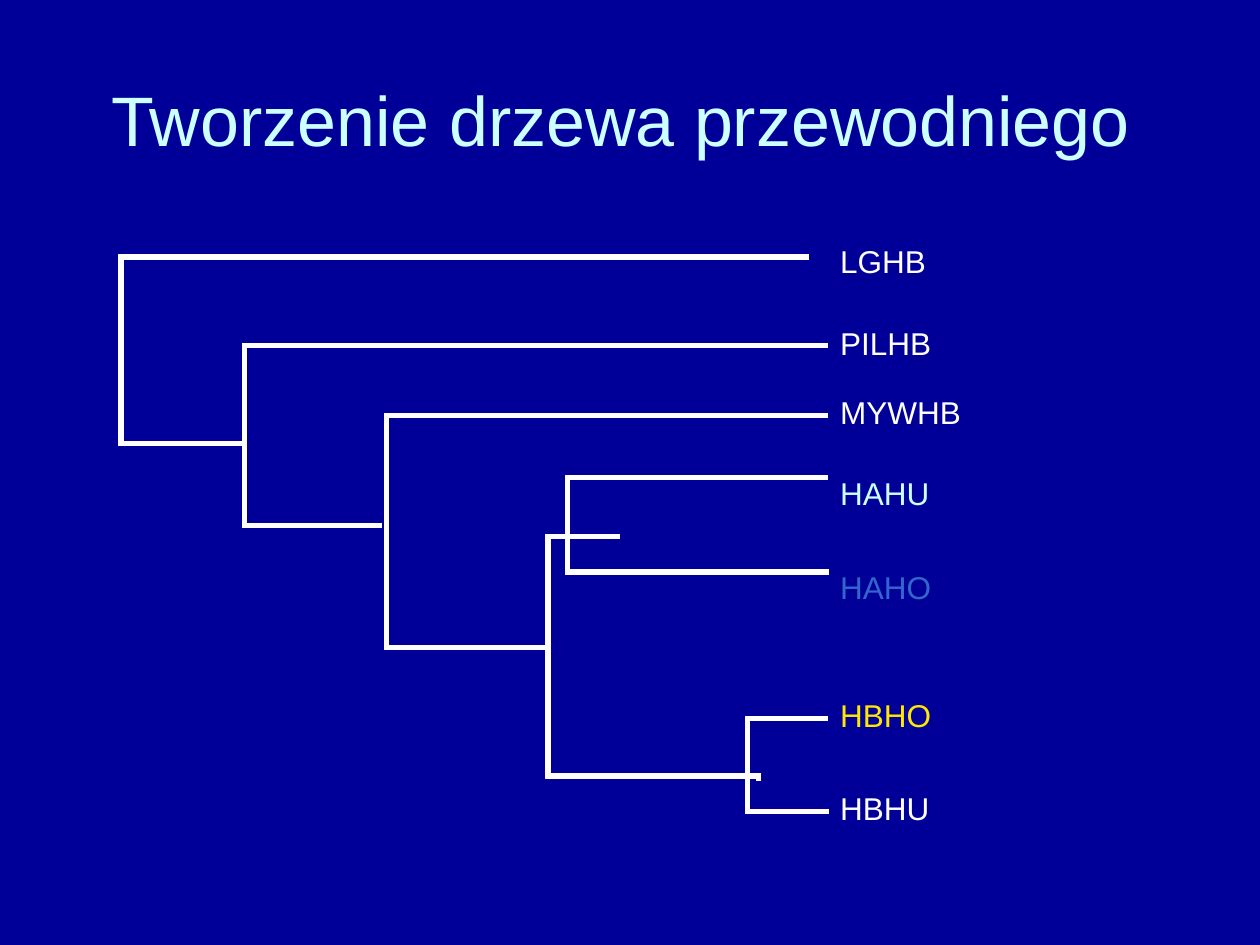
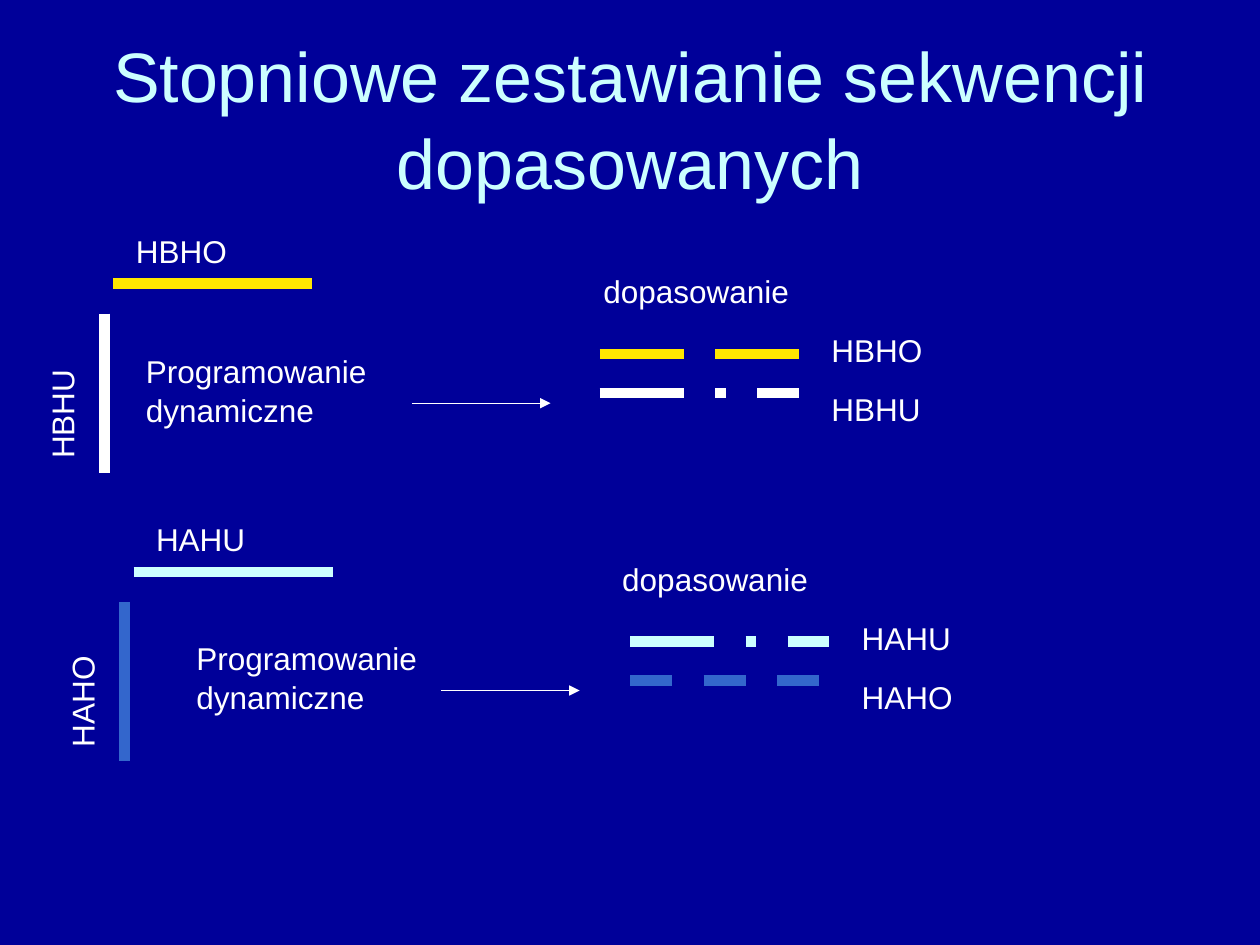
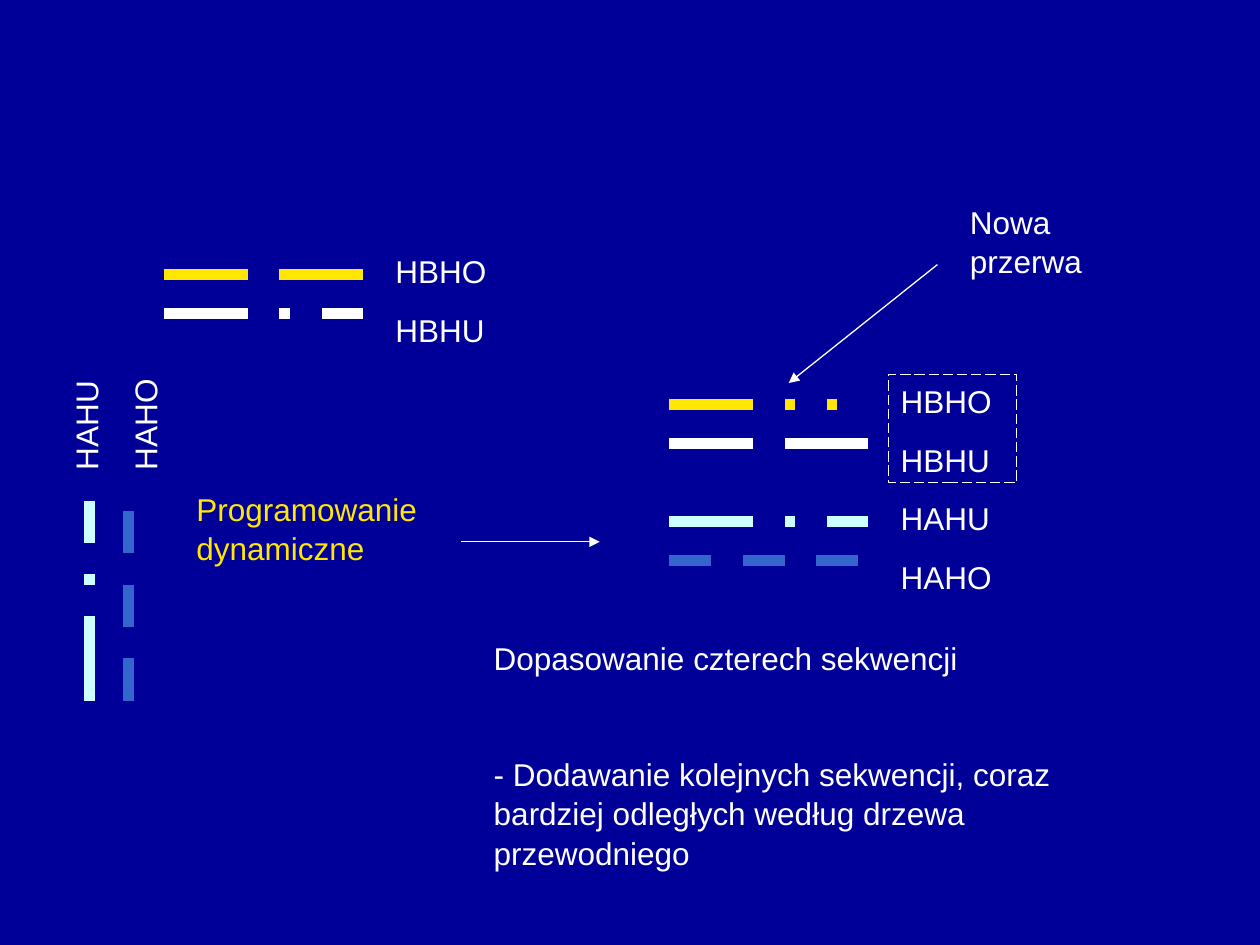
from dataclasses import dataclass

import pptx
import pptx.dml.color
import pptx.enum.dml
import pptx.enum.shapes
import pptx.enum.text
import pptx.oxml
import pptx.oxml.ns
import pptx.util

COLUMN = pptx.util.Inches(1)
ROW = pptx.util.Inches(1)
COLUMNS, ROWS = 10, 7.5
TITLE_ONLY, BLANK = 5, 6

DASH = pptx.enum.dml.MSO_LINE.DASH
LONG_DASH = pptx.enum.dml.MSO_LINE.LONG_DASH
LONG_DASH_DOT = pptx.enum.dml.MSO_LINE.LONG_DASH_DOT
DASH_DOT_DOT = pptx.enum.dml.MSO_LINE.DASH_DOT_DOT
ANCHOR = pptx.enum.text.MSO_ANCHOR
ALIGN = pptx.enum.text.PP_ALIGN
FIT = pptx.enum.text.MSO_AUTO_SIZE
CONNECTOR = pptx.enum.shapes.MSO_CONNECTOR


@dataclass(frozen=True)
class Theme:
    background: str = "000099"
    white: str = "FFFFFF"
    pale: str = "CCFFFF"
    blue: str = "3366CC"
    yellow: str = "FFE701"
    font: str = "Arial"
    title_size: float = 40
    text_size: float = 18
    space_before: float = 11.2
    leading: float = 1.04
    arrow_width: float = 0.75
    branch_width: float = 3
    sequence_width: float = 6


THEME = Theme()
SEQUENCE_LENGTH = 1.58
SEQUENCE_GAP = 0.31
DYNAMIC = "Programowanie dynamiczne"


def rgb(colour):
    return pptx.dml.color.RGBColor.from_string(colour)


def cols(count):
    return round(count * COLUMN)


def rows(count):
    return round(count * ROW)


def add_xml(parent, tag, **attributes):
    element = pptx.oxml.parse_xml(f"<a:{tag} {pptx.oxml.ns.nsdecls('a')}/>")
    for key, value in attributes.items():
        element.set(key, str(value))
    parent.append(element)


def write(frame, *paragraphs, colour=THEME.white, size=THEME.text_size,
          align=ALIGN.LEFT, anchor=ANCHOR.TOP, fit=FIT.SHAPE_TO_FIT_TEXT,
          before=THEME.space_before, extra_before=0):
    """Fill a text frame; extra_before widens the gaps between paragraphs."""
    frame.word_wrap = True
    frame.auto_size = fit
    frame.vertical_anchor = anchor
    for index, words in enumerate(paragraphs):
        paragraph = frame.add_paragraph() if index else frame.paragraphs[0]
        paragraph.alignment = align
        paragraph.line_spacing = THEME.leading
        paragraph.space_before = pptx.util.Pt(before + (extra_before if index else 0))
        run = paragraph.add_run()
        run.text = words
        run.font.name = THEME.font
        run.font.size = pptx.util.Pt(size)
        run.font.color.rgb = rgb(colour)


def label(slide, left, top, width, height, *paragraphs, rotation=0, **style):
    box = slide.shapes.add_textbox(cols(left), rows(top), cols(width), rows(height))
    box.rotation = rotation
    write(box.text_frame, *paragraphs, **style)


def title(slide, words):
    heading = slide.shapes.title
    heading.left, heading.top = cols(0.5), rows(0.3)
    heading.width, heading.height = cols(9), rows(1.25)
    write(heading.text_frame, words, colour=THEME.pale, size=THEME.title_size,
          align=ALIGN.CENTER, anchor=ANCHOR.MIDDLE, fit=FIT.NONE, before=0)


def connector(slide, start, end, colour, width, dash=None, kind=CONNECTOR.STRAIGHT):
    line = slide.shapes.add_connector(kind, cols(start[0]), rows(start[1]),
                                      cols(end[0]), rows(end[1]))
    line.line.color.rgb = rgb(colour)
    line.line.width = pptx.util.Pt(width)
    if dash:
        line.line.dash_style = dash
    add_xml(line._element.spPr, "effectLst")
    return line


def arrow(slide, start, end):
    shaft = connector(slide, start, end, THEME.white, THEME.arrow_width)
    add_xml(shaft.line._get_or_add_ln(), "tailEnd", type="triangle")


def sequence(slide, start, end, colour, dash=None):
    connector(slide, start, end, colour, THEME.sequence_width, dash)


def branch(slide, start, end, spine, lower_run=None):
    """Elbow from start along the column spine to end; lower_run is the row
    where it turns when that is not the row of end."""
    fork = connector(slide, start, end, THEME.white, THEME.branch_width,
                     kind=CONNECTOR.ELBOW)
    add_xml(fork.line._get_or_add_ln(), "miter", lim=800000)
    turns = [(spine - start[0]) / (end[0] - start[0])]
    geometry = fork._element.spPr.prstGeom
    if lower_run is not None:
        geometry.set("prst", "bentConnector4")
        turns.append((lower_run - start[1]) / (end[1] - start[1]))
    guides = geometry.get_or_add_avLst()
    for number, share in enumerate(turns, 1):
        add_xml(guides, "gd", name=f"adj{number}", fmla=f"val {round(share * 100000)}")


def alignment(slide, left, top, *sequences, framed=False):
    """Two aligned sequences (name, colour, dash) with their names at the right."""
    for index, (_, colour, dash) in enumerate(sequences):
        y = top + index * SEQUENCE_GAP
        sequence(slide, (left, y), (left + SEQUENCE_LENGTH, y), colour, dash)
    place = (left + 1.74, top - 0.24, 1.02, 0.86)
    names = [name for name, _, _ in sequences]
    if not framed:
        label(slide, *place, *names)
        return
    x, y, width, height = place
    frame = slide.shapes.add_shape(pptx.enum.shapes.MSO_SHAPE.RECTANGLE,
                                   cols(x), rows(y), cols(width), rows(height))
    frame.shadow.inherit = False
    frame.fill.background()
    frame.line.color.rgb = rgb(THEME.white)
    frame.line.width = pptx.util.Pt(THEME.arrow_width)
    frame.line.dash_style = LONG_DASH
    write(frame.text_frame, *names)


def dynamic_step(slide, left, top, arrow_left, colour=THEME.white):
    label(slide, left, top, 3.15, 0.7, DYNAMIC, colour=colour)
    arrow(slide, (arrow_left, top + 0.47), (arrow_left + 1.1, top + 0.47))


def sequence_pair(slide, left, top, across, down):
    """One sequence laid across and one down, each a (name, colour)."""
    sequence(slide, (left, top), (left + SEQUENCE_LENGTH, top), across[1])
    sequence(slide, (left - 0.07, top + 0.24), (left - 0.07, top + 1.5), down[1])
    label(slide, left + 0.08, top - 0.47, 1.26, 0.4, across[0])
    label(slide, left - 1.05, top + 0.66, 1.26, 0.4, down[0], rotation=270)


def guide_tree(slide):
    title(slide, "Tworzenie drzewa przewodniego ")
    leaves = [("LGHB", 1.86, THEME.white), ("PILHB", 2.51, THEME.white),
              ("MYWHB", 3.06, THEME.white), ("HAHU", 3.7, THEME.pale),
              ("HAHO", 4.45, THEME.blue), ("HBHO", 5.46, THEME.yellow),
              ("HBHU", 6.2, THEME.white)]
    for name, top, colour in leaves:
        label(slide, 6.57, top, 1.26, 0.4, name, colour=colour)
    branch(slide, (6.57, 5.7), (6.58, 6.44), 5.92)
    branch(slide, (6.57, 3.79), (6.58, 4.54), 4.47)
    branch(slide, (4.92, 4.26), (6.02, 6.2), 4.35, lower_run=6.16)
    branch(slide, (6.57, 3.3), (4.37, 5.14), 3.07)
    branch(slide, (6.57, 2.74), (3.03, 4.17), 1.94)
    branch(slide, (6.42, 2.04), (1.93, 3.52), 0.96)


def pairwise_alignments(slide):
    title(slide, "Stopniowe zestawianie sekwencji dopasowanych")

    sequence_pair(slide, 0.9, 2.25, ("HBHO", THEME.yellow), ("HBHU", THEME.white))
    dynamic_step(slide, 1.06, 2.73, 3.27)
    label(slide, 4.69, 2.1, 1.97, 0.4, "dopasowanie")
    alignment(slide, 4.76, 2.81, ("HBHO", THEME.yellow, LONG_DASH),
              ("HBHU", THEME.white, LONG_DASH_DOT))

    sequence_pair(slide, 1.06, 4.54, ("HAHU", THEME.pale), ("HAHO", THEME.blue))
    dynamic_step(slide, 1.46, 5.01, 3.5)
    label(slide, 4.84, 4.38, 1.97, 0.4, "dopasowanie")
    alignment(slide, 5, 5.09, ("HAHU", THEME.pale, LONG_DASH_DOT),
              ("HAHO", THEME.blue, DASH))


def four_sequences(slide):
    alignment(slide, 1.3, 2.18, ("HBHO", THEME.yellow, LONG_DASH),
              ("HBHU", THEME.white, LONG_DASH_DOT))
    for x, colour, dash in [(0.71, THEME.pale, LONG_DASH_DOT), (1.02, THEME.blue, DASH)]:
        sequence(slide, (x, 5.56), (x, 5.56 - SEQUENCE_LENGTH), colour, dash)
    label(slide, 0.39, 2.89, 1.02, 0.86, "HAHU", "HAHO", rotation=270)
    dynamic_step(slide, 1.46, 3.83, 3.66, colour=THEME.yellow)

    alignment(slide, 5.31, 3.21, ("HBHO", THEME.yellow, DASH_DOT_DOT),
              ("HBHU", THEME.white, LONG_DASH), framed=True)
    alignment(slide, 5.31, 4.14, ("HAHU", THEME.pale, LONG_DASH_DOT),
              ("HAHO", THEME.blue, DASH))
    arrow(slide, (7.44, 2.1), (6.26, 3.04))
    label(slide, 7.6, 1.55, 1.5, 0.7, "Nowa przerwa")
    label(slide, 3.82, 5.01, 5.12, 1.92, "Dopasowanie czterech sekwencji",
          "- Dodawanie kolejnych sekwencji, coraz bardziej odległych "
          "według drzewa przewodniego", extra_before=32.8)


def main():
    deck = pptx.Presentation()
    deck.slide_width, deck.slide_height = cols(COLUMNS), rows(ROWS)
    backdrop = deck.slide_master.background.fill
    backdrop.solid()
    backdrop.fore_color.rgb = rgb(THEME.background)
    for layout, build in [(TITLE_ONLY, guide_tree), (TITLE_ONLY, pairwise_alignments),
                          (BLANK, four_sequences)]:
        build(deck.slides.add_slide(deck.slide_layouts[layout]))
    deck.save("out.pptx")


if __name__ == "__main__":
    main()
